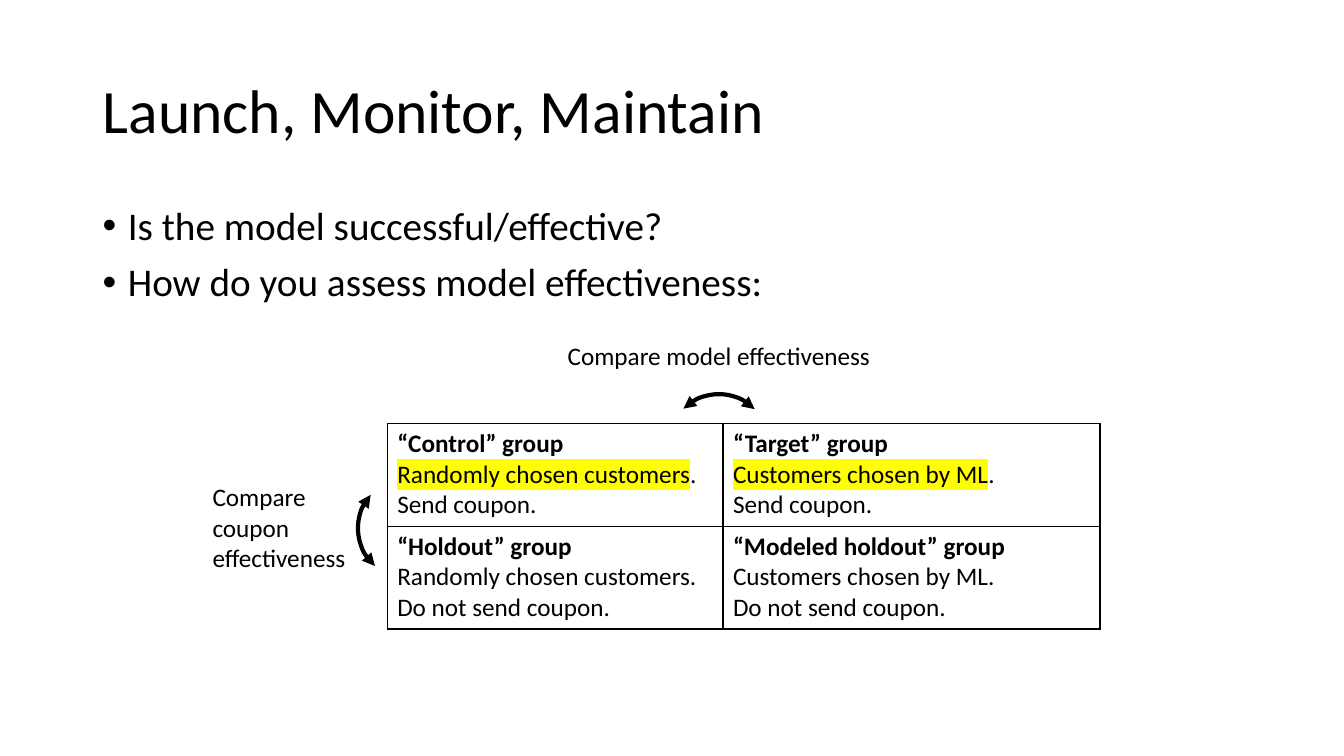
from lxml import etree
from pptx import Presentation
from pptx.dml.color import RGBColor
from pptx.enum.shapes import MSO_SHAPE
from pptx.enum.text import MSO_ANCHOR, PP_ALIGN
from pptx.oxml.ns import qn
from pptx.util import Inches, Pt

ARC = MSO_SHAPE.ARC
TOP, MIDDLE = MSO_ANCHOR.TOP, MSO_ANCHOR.MIDDLE
LEFT, CENTER = PP_ALIGN.LEFT, PP_ALIGN.CENTER
BLACK, YELLOW = "000000", "FFFF00"

# Content
TITLE = "Launch, Monitor, Maintain"
QUESTIONS = ["Is the model successful/effective?",
             "How do you assess model effectiveness:"]
# Each cell: group name, how customers are chosen, action
GROUPS = [
    [("“Control” group", "Randomly chosen customers", "Send coupon."),
     ("“Target” group", "Customers chosen by ML", "Send coupon.")],
    [("“Holdout” group", "Randomly chosen customers", "Do not send coupon."),
     ("“Modeled holdout” group", "Customers chosen by ML", "Do not send coupon.")],
]
COL_WIDTHS, ROW_HEIGHT = [3.33, 3.74], 1.02
# Each comparison: label, label box, alignment, arc corner, arc rotation
COMPARISONS = [
    ("Compare model effectiveness", (5.38, 3.33, 3.5, 0.4), CENTER, (6.63, 3.91), 315.4),
    ("Compare coupon effectiveness", (2.01, 4.73, 1.67, 1.01), LEFT, (3.55, 4.74), 221.5),
]


def rgb(color):
    return RGBColor.from_string(color)


def add_xml(parent, tag, **attrs):
    return etree.SubElement(parent, qn(tag), attrs)


def add_run(p, text, size=18, bold=False, color=BLACK, highlight=None):
    r = p.add_run()
    r.text = text
    r.font.size, r.font.bold, r.font.name = Pt(size), bold, "Calibri"
    r.font.color.rgb = rgb(color)
    if highlight:
        mark = etree.Element(qn("a:highlight"))
        add_xml(mark, "a:srgbClr", val=highlight)
        r.font.fill._xPr.find(qn("a:solidFill")).addnext(mark)


def add_text(box, lines, size=18, align=LEFT, anchor=TOP, spacing=None, bullet=False):
    tf = s.shapes.add_textbox(*map(Inches, box)).text_frame
    tf.word_wrap, tf.vertical_anchor = True, anchor
    for i, line in enumerate(lines):
        p = tf.add_paragraph() if i else tf.paragraphs[0]
        p.alignment, p.line_spacing = align, spacing
        add_run(p, line, size)
        if bullet:
            p.space_before = Pt(10)
            pPr = p._p.get_or_add_pPr()
            pPr.set("marL", str(Inches(0.25)))
            pPr.set("indent", str(Inches(-0.25)))
            add_xml(pPr, "a:buFont", typeface="Arial")
            add_xml(pPr, "a:buChar", char="•")


def add_borders(cell):
    tcPr = cell._tc.get_or_add_tcPr()
    for i, side in enumerate(("a:lnL", "a:lnR", "a:lnT", "a:lnB")):
        ln = etree.Element(qn(side), w=str(Pt(1)))
        add_xml(add_xml(ln, "a:solidFill"), "a:srgbClr", val=BLACK)
        tcPr.insert(i, ln)


prs = Presentation()
prs.slide_width, prs.slide_height = Inches(13.33), Inches(7.5)
s = prs.slides.add_slide(prs.slide_layouts[6])

# Title and questions
add_text((0.92, 0.4, 11.5, 1.45), [TITLE], size=44, anchor=MIDDLE, spacing=0.9)
add_text((0.92, 2, 11.5, 4.76), QUESTIONS, size=28, spacing=0.9, bullet=True)

# Table of customer groups
table = s.shapes.add_table(2, 2, Inches(3.84), Inches(4.2), Inches(sum(COL_WIDTHS)),
                           Inches(2 * ROW_HEIGHT)).table
table.first_row = table.horz_banding = False
for col, width in zip(table.columns, COL_WIDTHS):
    col.width = Inches(width)
for i, row in enumerate(GROUPS):
    table.rows[i].height = Inches(ROW_HEIGHT)
    for j, (name, choice, action) in enumerate(row):
        cell = table.cell(i, j)
        cell.fill.background()
        add_borders(cell)
        tf = cell.text_frame
        add_run(tf.paragraphs[0], name, bold=True)
        p = tf.add_paragraph()
        add_run(p, choice, highlight=YELLOW if i == 0 else None)
        add_run(p, ".")
        add_run(tf.add_paragraph(), action)

# Comparison labels and two-headed arcs
for label, box, align, (x, y), rotation in COMPARISONS:
    sp = s.shapes.add_shape(ARC, Inches(x), Inches(y), Inches(1), Inches(1))
    sp.rotation = rotation
    sp.shadow.inherit = False
    sp.fill.background()
    sp.line.color.rgb, sp.line.width = rgb(BLACK), Pt(3)
    for end in ("a:headEnd", "a:tailEnd"):
        add_xml(sp.line._get_or_add_ln(), end, type="triangle")
    add_text(box, [label], align=align)

prs.save("out.pptx")
